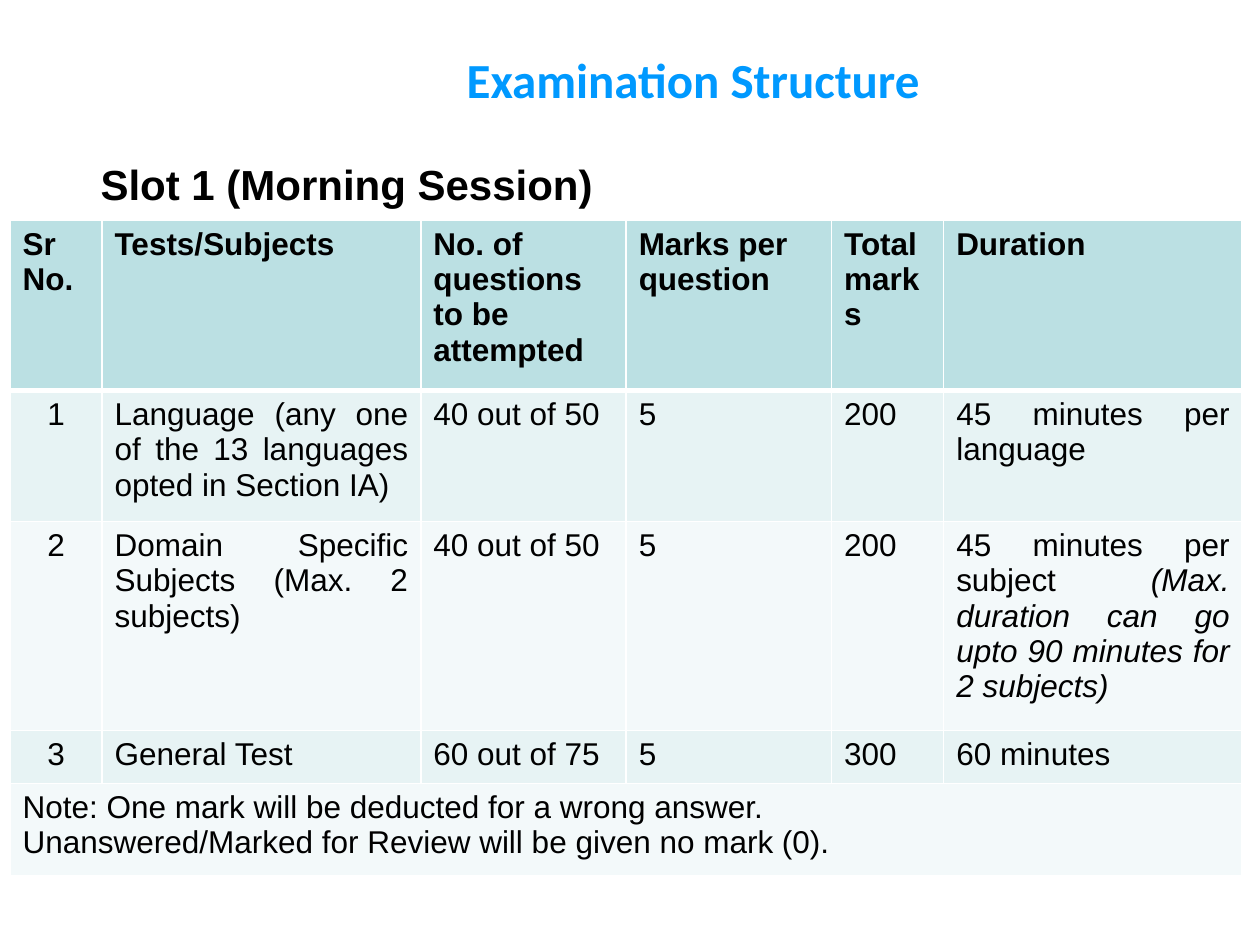
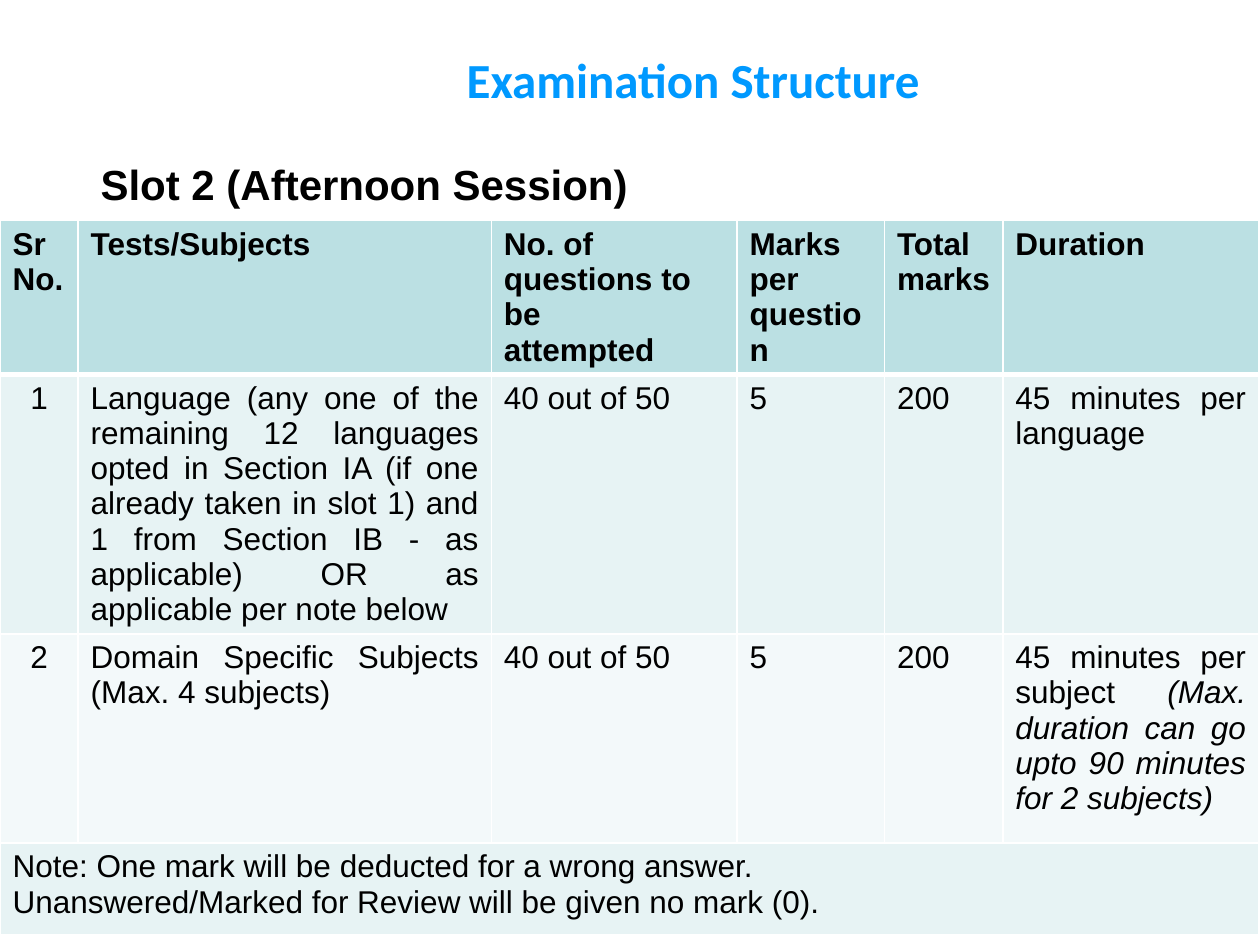
import pptx
import pptx.util
import pptx.dml.color
import pptx.enum.text
import pptx.oxml
import pptx.oxml.ns

Inches = pptx.util.Inches
ALIGN = pptx.enum.text.PP_ALIGN
TITLE_ONLY = 5

TITLE = "Examination Structure"
HEADERS = ["Sr\nNo.", "Tests/Subjects", "No. of\nquestions to be\nattempted",
           "Marks per\nquestion", "Total\nmarks", "Duration"]
NOTE = ("Note: One mark will be deducted for a wrong answer.\n"
        "Unanswered/Marked for Review will be given no mark (0).")
LANGUAGE_TIME = "45 minutes per language"
# A tuple holds upright text followed by italic text.
SUBJECT_TIME = ("45 minutes per subject ",
                "(Max. duration can go upto 90 minutes for 2 subjects)")

SLOTS = [
    {
        "heading": "Slot 1 (Morning Session)",
        "heading_width": 4.14,
        "left": 0.08,
        "columns": [0.73, 2.53, 1.63, 1.63, 0.89, 2.37],
        "rows": [1.35, 1.04, 1.66, 0.42, 0.73],
        "tests": [
            ["1", "Language (any one of the 13 languages opted in Section IA)",
             "40 out of 50", "5", "200", LANGUAGE_TIME],
            ["2", "Domain Specific Subjects (Max. 2 subjects)",
             "40 out of 50", "5", "200", SUBJECT_TIME],
            ["3", "General Test", "60 out of 75", "5", "300", "60 minutes"],
        ],
    },
    {
        "heading": "Slot 2 (Afternoon Session)",
        "heading_width": 4.43,
        "left": 0,
        "columns": [0.62, 3.28, 1.95, 1.17, 0.94, 2.03],
        "rows": [1.21, 2.05, 1.66, 0.73],
        "tests": [
            ["1", "Language (any one of the remaining 12 languages opted in "
                  "Section IA (if one already taken in slot 1) and 1 from "
                  "Section IB - as applicable) OR as applicable per note below",
             "40 out of 50", "5", "200", LANGUAGE_TIME],
            ["2", "Domain Specific Subjects (Max. 4 subjects)",
             "40 out of 50", "5", "200", SUBJECT_TIME],
        ],
    },
]

TABLE_TOP = 1.75
HEADER_FILL = "BBE0E3"
BAND_FILLS = ["E7F3F4", "F3F9FA"]
BORDER = "FFFFFF"
THIN, THICK = 1, 3
COLUMN_ALIGN = [ALIGN.CENTER, ALIGN.JUSTIFY, ALIGN.LEFT,
                ALIGN.LEFT, ALIGN.LEFT, ALIGN.JUSTIFY]

TITLE_FONT = {"name": "Calibri", "size": 28, "bold": True, "color": "0099FF"}
HEADING_FONT = {"name": "Arial", "size": 24, "bold": True, "color": "000000"}
BODY_FONT = {"name": "Arial", "size": 18, "bold": False, "color": "000000"}
HEADER_FONT = {**BODY_FONT, "bold": True}


def rgb(color):
    return pptx.dml.color.RGBColor.from_string(color)


def style_font(font, style):
    for name, value in style.items():
        if name == "color":
            font.color.rgb = rgb(value)
        elif name == "size":
            font.size = pptx.util.Pt(value)
        else:
            setattr(font, name, value)


def write(frame, content, style, align):
    """Fill a text frame; a newline starts a paragraph, a tuple's second part is italic."""
    upright, italic = content if isinstance(content, tuple) else (content, "")
    for index, line in enumerate(upright.split("\n")):
        para = frame.add_paragraph() if index else frame.paragraphs[0]
        para.alignment = align
        span = para.add_run()
        span.text = line
        style_font(span.font, style)
    if italic:
        span = para.add_run()
        span.text = italic
        style_font(span.font, {**style, "italic": True})


def set_borders(cell, top, bottom):
    properties = cell._tc.get_or_add_tcPr()
    widths = {"lnL": THIN, "lnR": THIN, "lnT": top, "lnB": bottom}
    for tag, width in widths.items():
        properties.append(pptx.oxml.parse_xml(
            f'<a:{tag} {pptx.oxml.ns.nsdecls("a")} w="{pptx.util.Pt(width)}">'
            f'<a:solidFill><a:srgbClr val="{BORDER}"/></a:solidFill></a:{tag}>'))


def add_title(slide):
    title = slide.shapes.title
    title.left, title.top, title.width, title.height = map(Inches, (1, 0, 9, 1.25))
    title.text_frame.vertical_anchor = pptx.enum.text.MSO_ANCHOR.MIDDLE
    write(title.text_frame, TITLE, TITLE_FONT, ALIGN.CENTER)


def add_heading(slide, slot):
    box = slide.shapes.add_textbox(
        *map(Inches, (0.7, 1.21, slot["heading_width"], 0.5)))
    box.text_frame.word_wrap = False
    box.text_frame.auto_size = pptx.enum.text.MSO_AUTO_SIZE.SHAPE_TO_FIT_TEXT
    write(box.text_frame, slot["heading"], HEADING_FONT, ALIGN.LEFT)


def add_test_table(slide, slot):
    widths, heights = slot["columns"], slot["rows"]
    table = slide.shapes.add_table(
        len(heights), len(widths),
        *map(Inches, (slot["left"], TABLE_TOP, sum(widths), sum(heights)))).table
    table.horz_banding = False
    for column, width in zip(table.columns, widths):
        column.width = Inches(width)
    for row, height in zip(table.rows, heights):
        row.height = Inches(height)

    for row_index, row in enumerate(table.rows):
        header = row_index == 0
        fill = HEADER_FILL if header else BAND_FILLS[(row_index - 1) % 2]
        for cell in row.cells:
            set_borders(cell, THICK if row_index == 1 else THIN,
                        THICK if header else THIN)
            cell.fill.solid()
            cell.fill.fore_color.rgb = rgb(fill)

    for row_index, contents in enumerate([HEADERS] + slot["tests"]):
        style = BODY_FONT if row_index else HEADER_FONT
        for column_index, content in enumerate(contents):
            align = COLUMN_ALIGN[column_index] if row_index else ALIGN.LEFT
            write(table.cell(row_index, column_index).text_frame,
                  content, style, align)

    last = len(heights) - 1
    note_cell = table.cell(last, 0)
    note_cell.merge(table.cell(last, len(widths) - 1))
    write(note_cell.text_frame, NOTE, BODY_FONT, ALIGN.LEFT)


def main():
    deck = pptx.Presentation()
    deck.slide_width, deck.slide_height = Inches(10), Inches(7.5)
    for slot in SLOTS:
        slide = deck.slides.add_slide(deck.slide_layouts[TITLE_ONLY])
        add_title(slide)
        add_test_table(slide, slot)
        add_heading(slide, slot)
    deck.save("out.pptx")


if __name__ == "__main__":
    main()
